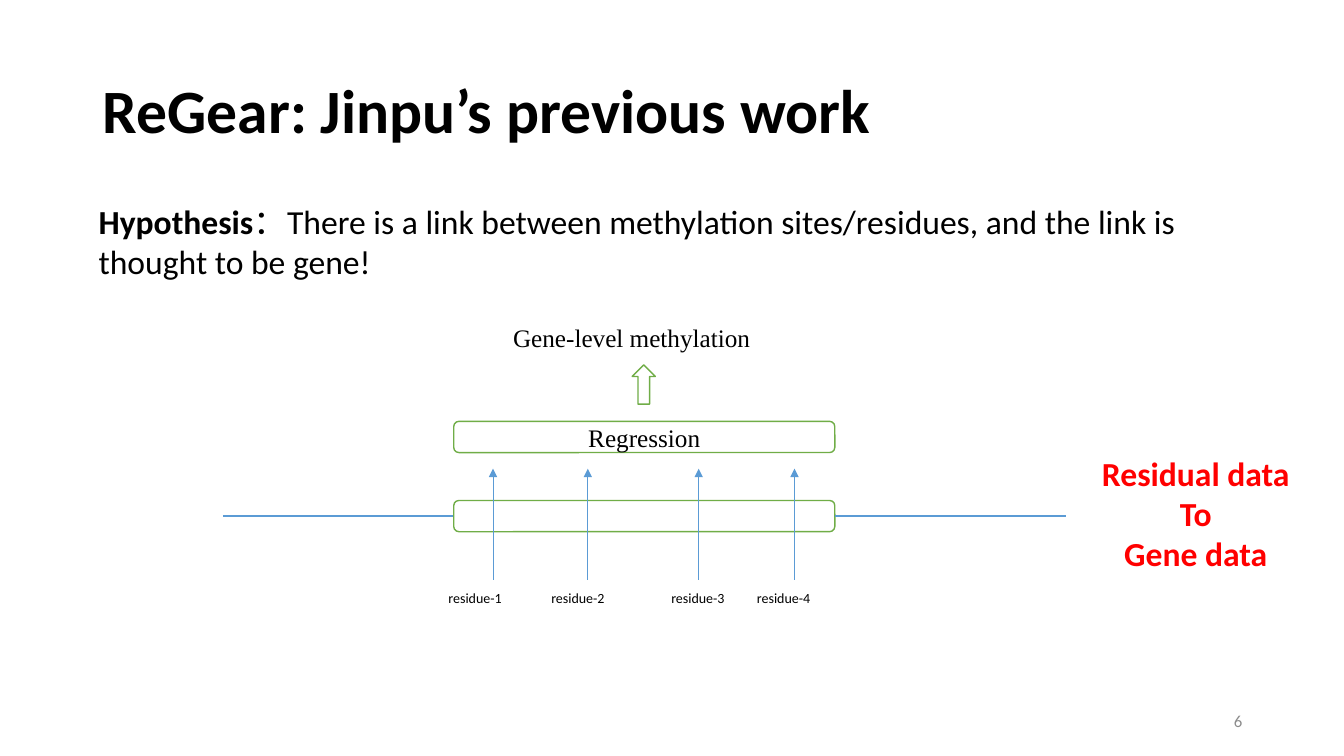
import pptx
import pptx.util
import pptx.dml.color
import pptx.enum.text
import pptx.enum.shapes
import pptx.oxml
import pptx.oxml.ns

Inches = pptx.util.Inches
Align = pptx.enum.text.PP_ALIGN
Anchor = pptx.enum.text.MSO_ANCHOR
Shape = pptx.enum.shapes.MSO_SHAPE
SANS, SERIF = "Calibri", "Times New Roman"
BLACK, WHITE, RED, GRAY = "000000", "FFFFFF", "FF0000", "8C8C8C"
BLUE, GREEN = "5B9BD5", "70AD47"


def color(code):
    """Turn a hex string into a colour."""
    return pptx.dml.color.RGBColor.from_string(code)


def write(para, text, size, font=SANS, ink=BLACK, bold=False):
    """Add one formatted run to a paragraph."""
    run = para.add_run()
    run.text = text
    run.font.size = pptx.util.Pt(size)
    run.font.name = font
    run.font.bold = bold
    run.font.color.rgb = color(ink)


def label(slide, box, align=Align.LEFT, anchor=Anchor.TOP):
    """Add a wrapping text box and return its frame."""
    frame = slide.shapes.add_textbox(*map(Inches, box)).text_frame
    frame.word_wrap = True
    frame.vertical_anchor = anchor
    frame.paragraphs[0].alignment = align
    return frame


def block(slide, kind, box):
    """Add a white shape with a green outline."""
    shape = slide.shapes.add_shape(kind, *map(Inches, box))
    shape.shadow.inherit = False
    shape.fill.solid()
    shape.fill.fore_color.rgb = color(WHITE)
    shape.line.color.rgb = color(GREEN)
    shape.line.width = pptx.util.Pt(1)
    return shape


def wire(slide, start, end, width=1, head=False):
    """Draw a straight blue line, with an arrowhead if asked."""
    kind = pptx.enum.shapes.MSO_CONNECTOR.STRAIGHT
    line = slide.shapes.add_connector(kind, *map(Inches, (*start, *end)))
    line.line.color.rgb = color(BLUE)
    line.line.width = pptx.util.Pt(width)
    props = line._element.spPr
    if head:
        tip = pptx.oxml.ns.qn("a:tailEnd")
        line.line._get_or_add_ln().append(props.makeelement(tip, {"type": "triangle"}))
    props.append(props.makeelement(pptx.oxml.ns.qn("a:effectLst"), {}))


def heading(slide, box):
    """Place and fill the title."""
    title = slide.shapes.title
    title.left, title.top, title.width, title.height = map(Inches, box)
    frame = title.text_frame
    frame.auto_size = pptx.enum.text.MSO_AUTO_SIZE.NONE
    frame.vertical_anchor = Anchor.MIDDLE
    para = frame.paragraphs[0]
    para.alignment = Align.LEFT
    para.line_spacing = 0.9
    write(para, "ReGear: Jinpu’s previous work", 44, bold=True)


def claim(slide, box):
    """Write the hypothesis."""
    para = label(slide, box).paragraphs[0]
    write(para, "Hypothesis", 24, bold=True)
    write(para, "：There is a link between methylation sites/residues, "
                "and the link is thought to be gene!", 24)


def diagram(slide, box):
    """Draw residues passing through a gene into the regression."""
    left, top, width, height = box
    bar, tall = 3.78, 0.31
    near = left + (width - bar) / 2
    far = near + bar
    mid = top + 1.97

    wire(slide, (left, mid), (near, mid))
    block(slide, Shape.ROUNDED_RECTANGLE, (near, mid - tall / 2, bar, tall))
    wire(slide, (far, mid), (left + width, mid))

    model = block(slide, Shape.ROUNDED_RECTANGLE, (near, top + 1.03, bar, tall))
    frame = model.text_frame
    frame.vertical_anchor = Anchor.MIDDLE
    frame.paragraphs[0].alignment = Align.CENTER
    write(frame.paragraphs[0], "Regression", 18, SERIF)

    sites = [(0.39, -0.15), (1.33, 0.87), (2.43, 2.06), (3.38, 2.91)]
    for num, (stem, text) in enumerate(sites, 1):
        wire(slide, (near + stem, top + 2.6), (near + stem, top + 1.5), 0.5, True)
        tag = label(slide, (near + text, top + height - 0.27, 0.9, 0.27))
        write(tag.paragraphs[0], f"residue-{num}", 10)

    arrow = block(slide, Shape.DOWN_ARROW, (left + 4.06, top + 0.47, 0.23, 0.39))
    arrow.rotation = 180
    frame = label(slide, (left + 2.78, top, 2.79, 0.4))
    write(frame.paragraphs[0], "Gene-level methylation", 18, SERIF)


def result(slide, box):
    """Write the red summary, one paragraph per line."""
    frame = label(slide, box)
    for num, text in enumerate(("Residual data", "To", "Gene data")):
        para = frame.add_paragraph() if num else frame.paragraphs[0]
        para.alignment = Align.CENTER
        write(para, text, 24, ink=RED, bold=True)


def footer(slide, box):
    """Write the slide number."""
    frame = label(slide, box, Align.RIGHT, Anchor.MIDDLE)
    write(frame.paragraphs[0], "6", 12, ink=GRAY)


def main():
    """Build and save the slide."""
    deck = pptx.Presentation()
    deck.slide_width, deck.slide_height = Inches(13.33), Inches(7.5)
    slide = deck.slides.add_slide(deck.slide_layouts[5])
    heading(slide, (0.92, 0.4, 11.5, 1.45))
    claim(slide, (0.88, 1.94, 11.64, 0.91))
    diagram(slide, (2.21, 3.15, 8.36, 2.92))
    result(slide, (10.75, 4.44, 2.22, 1.31))
    footer(slide, (9.42, 6.95, 3, 0.4))
    deck.save("out.pptx")


if __name__ == "__main__":
    main()
